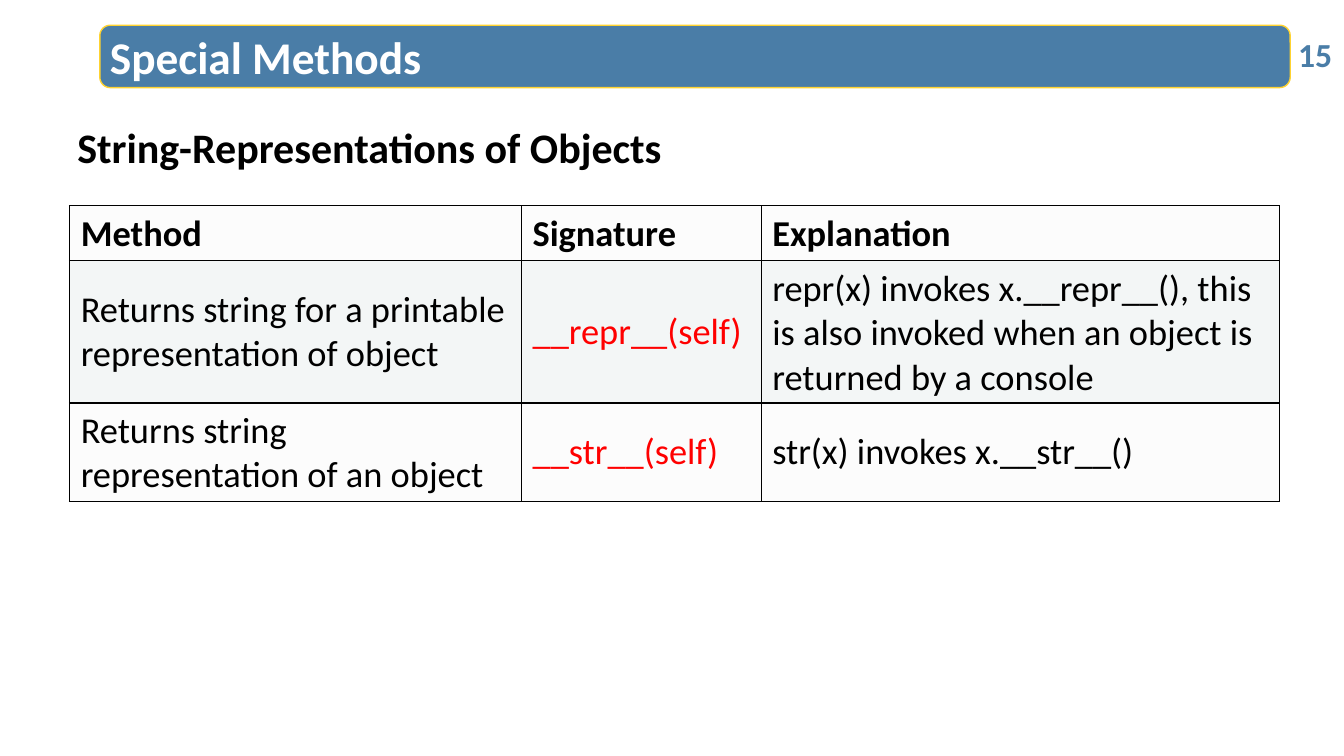
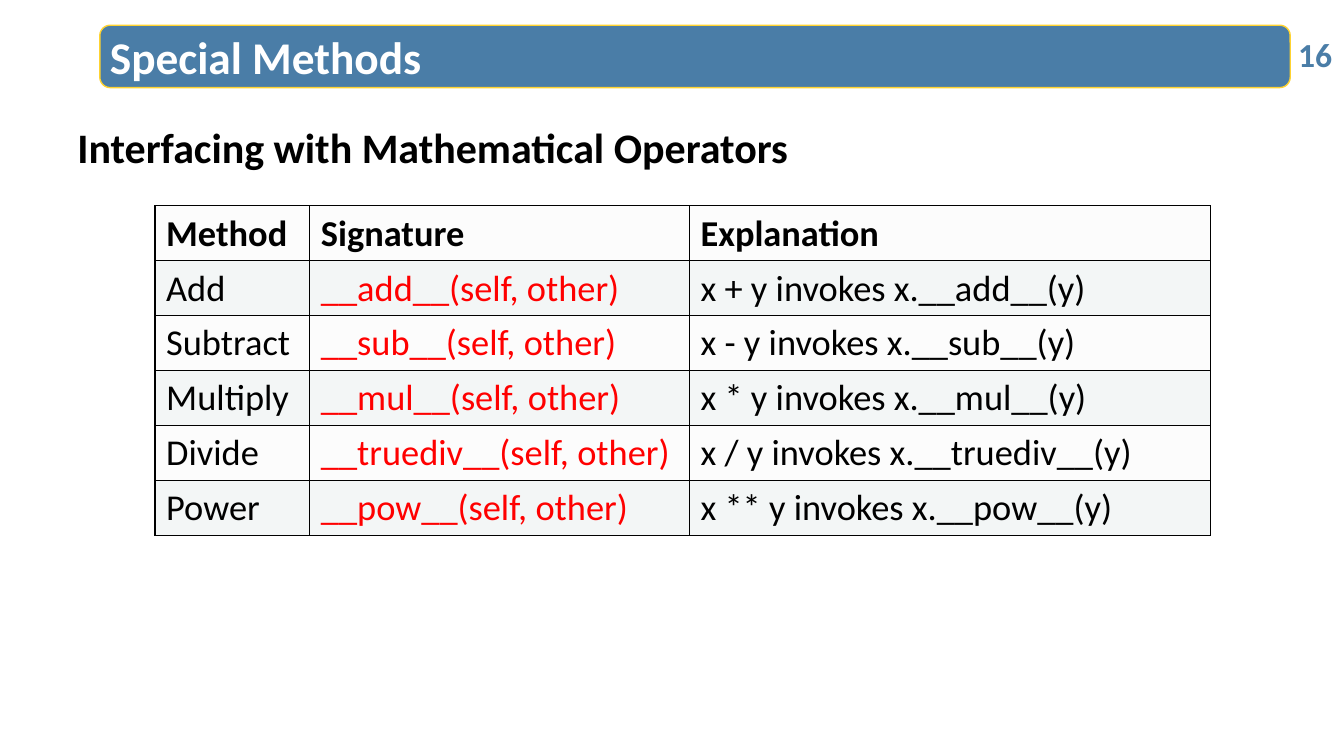
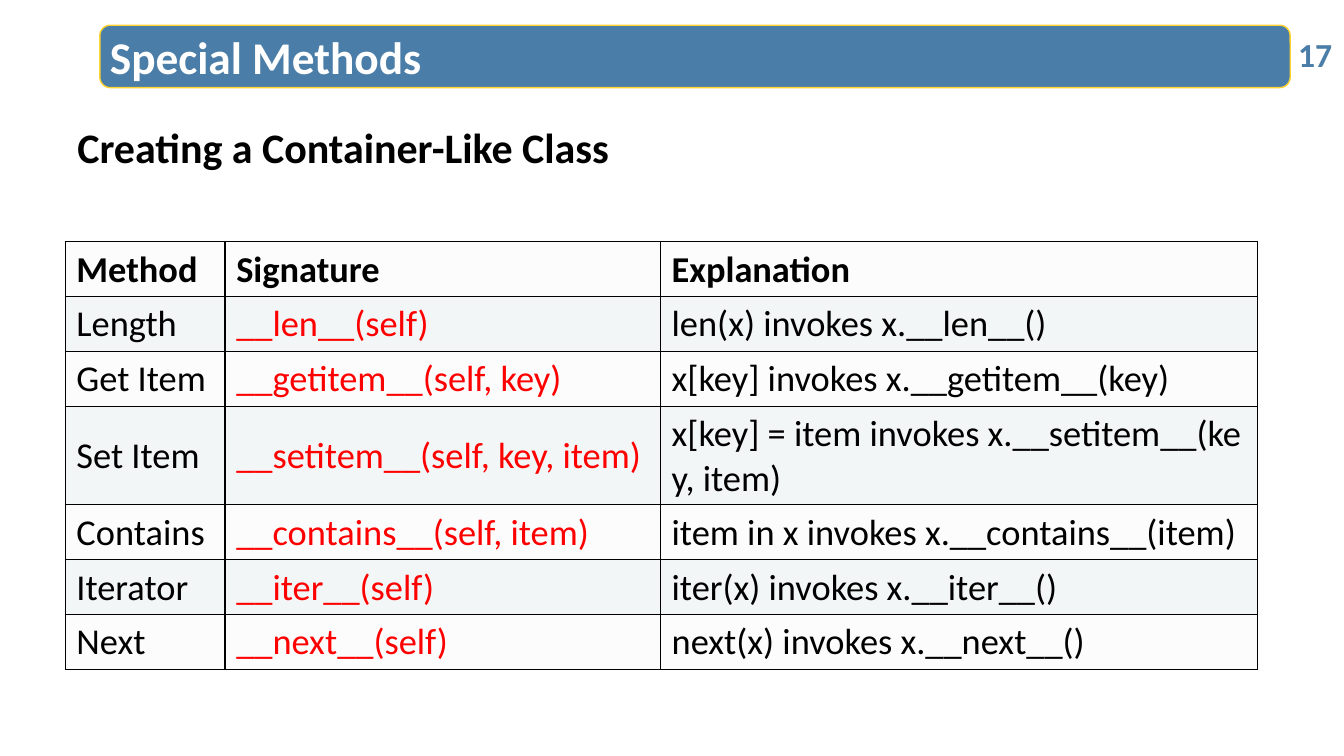
import lxml.etree
import pptx
import pptx.dml.color
import pptx.enum.shapes
import pptx.enum.text
import pptx.oxml
import pptx.oxml.ns
import pptx.util

Pt = pptx.util.Pt
ANCHOR = pptx.enum.text.MSO_ANCHOR
NONE = pptx.enum.text.MSO_AUTO_SIZE.NONE

HUES = {
    "band": "4A7DA7", "edge": "FFD330", "white": "FFFFFF", "black": "000000",
    "code": "FF0000", "odd": "F3F6F6", "even": "FCFCFC",
}
STYLES = {
    "title": ({"size": Pt(32.4), "bold": True}, "white"),
    "number": ({"size": Pt(24), "bold": True}, "band"),
    "topic": ({"size": Pt(30), "bold": True}, "black"),
    "head": ({"size": Pt(26), "bold": True}, "black"),
    "plain": ({"size": Pt(26), "bold": False}, "black"),
    "code": ({"size": Pt(26), "bold": False}, "code"),
}
CELL = {
    "vertical_anchor": ANCHOR.MIDDLE,
    "margin_left": Pt(8), "margin_right": Pt(8),
    "margin_top": Pt(4), "margin_bottom": Pt(4),
}
HEADS = ("Method", "Signature", "Explanation")
LINE, PAD = 31.2, 8  # height of one text line, and padding of a row
FIRST = 15

# In table text, ~ stands for a space that does not break.
PAGES = [
    {
        "topic": "String-Representations of Objects",
        "at": (49.7, 147), "cols": (322.8, 171.2, 370.4), "lines": (1, 3, 2),
        "rows": [
            ("Returns string for a printable representation of object", "__repr__(self)",
             "repr(x)~invokes~x.__repr__(), this is also invoked when an object is "
             "returned by a console"),
            ("Returns string representation of an object", "__str__(self)",
             "str(x)~invokes~x.__str__()"),
        ],
    },
    {
        "topic": "Interfacing with Mathematical Operators",
        "at": (110.7, 147), "cols": (110.6, 271.2, 372.2), "lines": (1,) * 6,
        "rows": [
            (name, f"__{call}__(self,~other)", f"x~{sign}~y~invokes~x.__{call}__(y)")
            for name, call, sign in (
                ("Add", "add", "+"), ("Subtract", "sub", "-"), ("Multiply", "mul", "*"),
                ("Divide", "truediv", "/"), ("Power", "pow", "**"))
        ],
    },
    {
        "topic": "Creating a Container-Like Class",
        "at": (46.6, 172.6), "cols": (114.2, 311, 426.4), "lines": (1, 1, 1, 2, 1, 1, 1),
        "rows": [
            ("Length", "__len__(self)", "len(x)~invokes~x.__len__()"),
            ("Get Item", "__getitem__(self,~key)", "x[key]~invokes~x.__getitem__(key)"),
            ("Set Item", "__setitem__(self,~key,~item)",
             "x[key]~=~item~invokes~x.__setitem__(key,~item)"),
            ("Contains", "__contains__(self,~item)", "item~in~x~invokes~x.__contains__(item)"),
            ("Iterator", "__iter__(self)", "iter(x)~invokes~x.__iter__()"),
            ("Next", "__next__(self)", "next(x)~invokes~x.__next__()"),
        ],
    },
]


def color(name):
    return pptx.dml.color.RGBColor.from_string(HUES[name])


def write(frame, text, style):
    """Fill a text frame with one run in a named style."""
    frame.word_wrap = True
    part = frame.paragraphs[0]
    part.alignment = pptx.enum.text.PP_ALIGN.LEFT
    run = part.add_run()
    run.text = text
    looks, hue = STYLES[style]
    run.font.name = "Calibri"
    for key, value in looks.items():
        setattr(run.font, key, value)
    run.font.color.rgb = color(hue)


deck = pptx.Presentation()
deck.slide_width, deck.slide_height = Pt(960), Pt(540)
layout = deck.slide_layouts[5]
slides = [deck.slides.add_slide(layout) for page in PAGES]

# The title place and the band behind it belong to the layout.
place = {"left": Pt(71.3), "top": Pt(20.9), "width": Pt(856), "height": Pt(43.2)}
for key, value in place.items():
    setattr(layout.placeholders[0], key, value)
band = slides[0].shapes.add_shape(
    pptx.enum.shapes.MSO_SHAPE.ROUNDED_RECTANGLE, Pt(71.3), Pt(18), Pt(850.3), Pt(44.6))
band.shadow.inherit = False
band.fill.solid()
band.fill.fore_color.rgb = color("band")
band.line.color.rgb = color("edge")
band.line.width = Pt(1)
band.element.nvSpPr.cNvPr.set("id", "20")
layout.shapes.element.insert(2, band.element)

for number, (slide, page) in enumerate(zip(slides, PAGES), FIRST):
    title = slide.shapes.title.text_frame
    write(title, "Special Methods", "title")
    title.auto_size = NONE
    title.vertical_anchor = ANCHOR.MIDDLE
    title.paragraphs[0].line_spacing = 0.9

    count = slide.shapes.add_textbox(Pt(920.2), Pt(20.9), Pt(39.8), Pt(41.8)).text_frame
    write(count, str(number), "number")
    count.margin_right = 0
    topic = slide.shapes.add_textbox(Pt(48.2), Pt(83.5), Pt(878.4), Pt(43.9)).text_frame
    write(topic, page["topic"], "topic")

    rows = [HEADS] + page["rows"]
    highs = [LINE * lines + PAD for lines in page["lines"]]
    left, top = page["at"]
    grid = slide.shapes.add_table(
        len(rows), len(HEADS), Pt(left), Pt(top), Pt(sum(page["cols"])), Pt(sum(highs))).table
    for col, wide in zip(grid.columns, page["cols"]):
        col.width = Pt(wide)
    for row, high in zip(grid.rows, highs):
        row.height = Pt(high)

    for r, texts in enumerate(rows):
        for c, text in enumerate(texts):
            cell = grid.cell(r, c)
            for key, value in CELL.items():
                setattr(cell, key, value)
            style = "head" if r == 0 else "code" if c == 1 else "plain"
            write(cell.text_frame, text.replace("~", chr(160)), style)
            props = cell._tc.get_or_add_tcPr()
            for side in ("lnL", "lnR", "lnT", "lnB"):
                props.append(pptx.oxml.parse_xml(
                    f'<a:{side} {pptx.oxml.ns.nsdecls("a")} w="{Pt(1)}"><a:solidFill>'
                    f'<a:srgbClr val="{HUES["black"]}"/></a:solidFill></a:{side}>'))
            cell.fill.solid()
            cell.fill.fore_color.rgb = color("odd" if r % 2 else "even")

deck.save("out.pptx")
